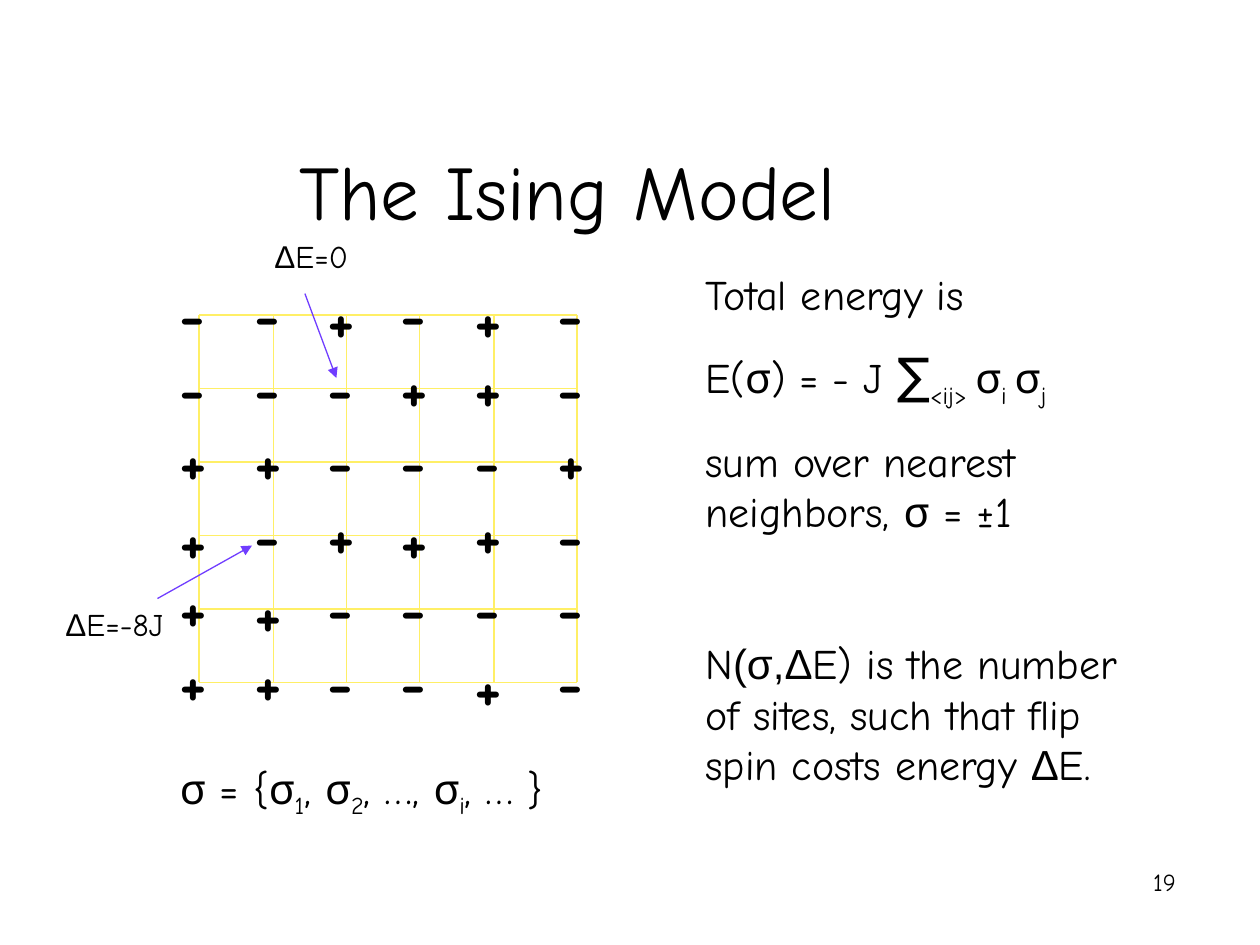
from dataclasses import dataclass
from typing import NamedTuple

from lxml.etree import SubElement
from pptx import Presentation
from pptx.dml.color import RGBColor
from pptx.enum.shapes import MSO_CONNECTOR
from pptx.enum.text import MSO_ANCHOR, MSO_AUTO_SIZE, PP_ALIGN
from pptx.oxml.ns import qn
from pptx.util import Inches, Pt

HUES = {"ink": "000000", "grid": "FFEF66", "arrow": "703DFF"}
FACE = "Comic Neue"
COLS = [1.58, 2.17, 2.75, 3.33, 3.92, 4.58]
ROWS = [2.5 + i * 7 / 12 for i in range(6)]
SPINS = ["--+-+-", "---++-", "++---+", "+-+++-", "++----", "++--+-"]
# Sites (row, column) whose sign sits slightly lower
LOW = {(0, 2), (0, 4), (3, 0), (3, 3), (4, 1), (5, 4)}


class Run(NamedTuple):
    text: str
    sub: bool = False
    face: str | None = None
    size: int | None = None


class Para(NamedTuple):
    runs: list[Run]
    gap: int = 0


@dataclass
class Box:
    at: tuple[float, float, float, float]
    paras: list[Para]
    size: int
    bold: bool = False
    align: PP_ALIGN = PP_ALIGN.LEFT
    anchor: MSO_ANCHOR = MSO_ANCHOR.TOP
    grow: bool = True


@dataclass
class Line:
    start: tuple[float, float]
    end: tuple[float, float]
    hue: str = "grid"
    head: bool = False


def plain(text: str) -> list[Para]:
    return [Para([Run(text)])]


def delta(text: str) -> list[Para]:
    return [Para([Run("Δ", face="Arial"), Run(text, face=FACE)])]


def draw_box(slide, box: Box) -> None:
    frame = slide.shapes.add_textbox(*map(Inches, box.at)).text_frame
    frame.word_wrap = True
    frame.vertical_anchor = box.anchor
    if box.grow:
        frame.auto_size = MSO_AUTO_SIZE.SHAPE_TO_FIT_TEXT
    for i, item in enumerate(box.paras):
        para = frame.add_paragraph() if i else frame.paragraphs[0]
        para.alignment = box.align
        if item.gap:
            para.space_before = Pt(item.gap)
        font = para.font
        font.size, font.bold = Pt(box.size), box.bold
        font.color.rgb = RGBColor.from_string(HUES["ink"])
        if not any(part.face for part in item.runs):
            font.name = FACE
        for part in item.runs:
            run = para.add_run()
            run.text = part.text
            if part.face:
                run.font.name = part.face
            if part.size:
                run.font.size = Pt(part.size)
            if part.sub:
                run._r.get_or_add_rPr().set("baseline", "-25000")


def draw_line(slide, line: Line) -> None:
    ends = map(Inches, line.start + line.end)
    link = slide.shapes.add_connector(MSO_CONNECTOR.STRAIGHT, *ends)
    link.line.color.rgb = RGBColor.from_string(HUES[line.hue])
    link.line.width = Pt(0.75)
    props = link._element.spPr
    if line.head:
        SubElement(props.find(qn("a:ln")), qn("a:tailEnd"), type="triangle")
    SubElement(props, qn("a:effectLst"))


def main() -> None:
    deck = Presentation()
    deck.slide_width, deck.slide_height = Inches(10), Inches(7.5)
    slide = deck.slides.add_slide(deck.slide_layouts[6])

    # Title
    draw_box(slide, Box((0.75, 0.17, 7.51, 1.75), plain("The Ising Model"), 44,
                        align=PP_ALIGN.CENTER, anchor=MSO_ANCHOR.BOTTOM,
                        grow=False))

    # Lattice
    for x in COLS:
        draw_line(slide, Line((x, ROWS[0]), (x, ROWS[-1])))
    for y in ROWS:
        draw_line(slide, Line((COLS[0], y), (COLS[-1], y)))

    # Spins
    for r, (y, signs) in enumerate(zip(ROWS, SPINS)):
        for c, (x, sign) in enumerate(zip(COLS, signs)):
            top = y - 0.37 + (0.04 if (r, c) in LOW else 0)
            draw_box(slide, Box((x - 0.25, top, 0.42, 0.7), plain(sign), 36,
                                bold=True))

    # Energy formula and notes
    notes = plain("Total energy is") + [
        Para([Run("E(σ) = - J "), Run("∑", size=28), Run("<ij> ", True),
              Run("σ"), Run("i ", True), Run("σ"), Run("j", True)], 15),
        Para([Run("sum over nearest neighbors, σ = ±1")], 15),
        Para([Run("N", face=FACE), Run("(σ,Δ", face="Arial"),
              Run("E) is the number of sites, such that flip spin costs energy ",
                  face=FACE),
              Run("Δ", face="Arial"), Run("E.", face=FACE)], 58),
    ]
    draw_box(slide, Box((5.5, 2.08, 3.58, 4.25), notes, 24))

    # Spin configuration
    state = [Run("σ = {σ"), Run("1", True), Run(", σ"), Run("2", True),
             Run(", …, σ"), Run("i", True), Run(", … }")]
    draw_box(slide, Box((1.33, 6, 3.17, 0.56), [Para(state)], 24))

    # Flip costs with arrows
    draw_line(slide, Line((2.42, 2.33), (2.67, 3), "arrow", True))
    draw_box(slide, Box((2.08, 1.83, 1, 0.4), delta("E=0"), 18))
    draw_line(slide, Line((1.25, 4.75), (2, 4.33), "arrow", True))
    draw_box(slide, Box((0.42, 4.75, 1.25, 0.4), delta("E=-8J"), 18))

    # Page number
    draw_box(slide, Box((7.35, 6.83, 2.08, 0.5), plain("19"), 14,
                        align=PP_ALIGN.RIGHT, grow=False))
    deck.save("out.pptx")


if __name__ == "__main__":
    main()
